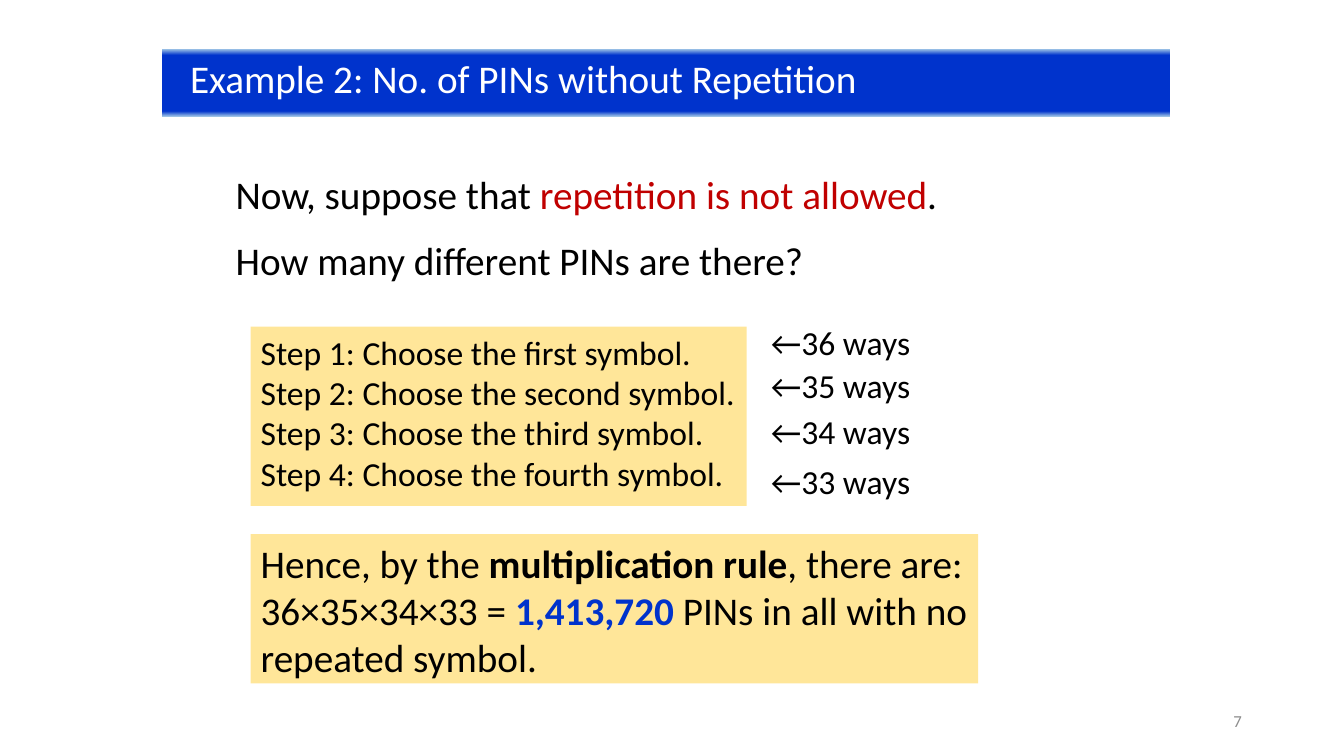
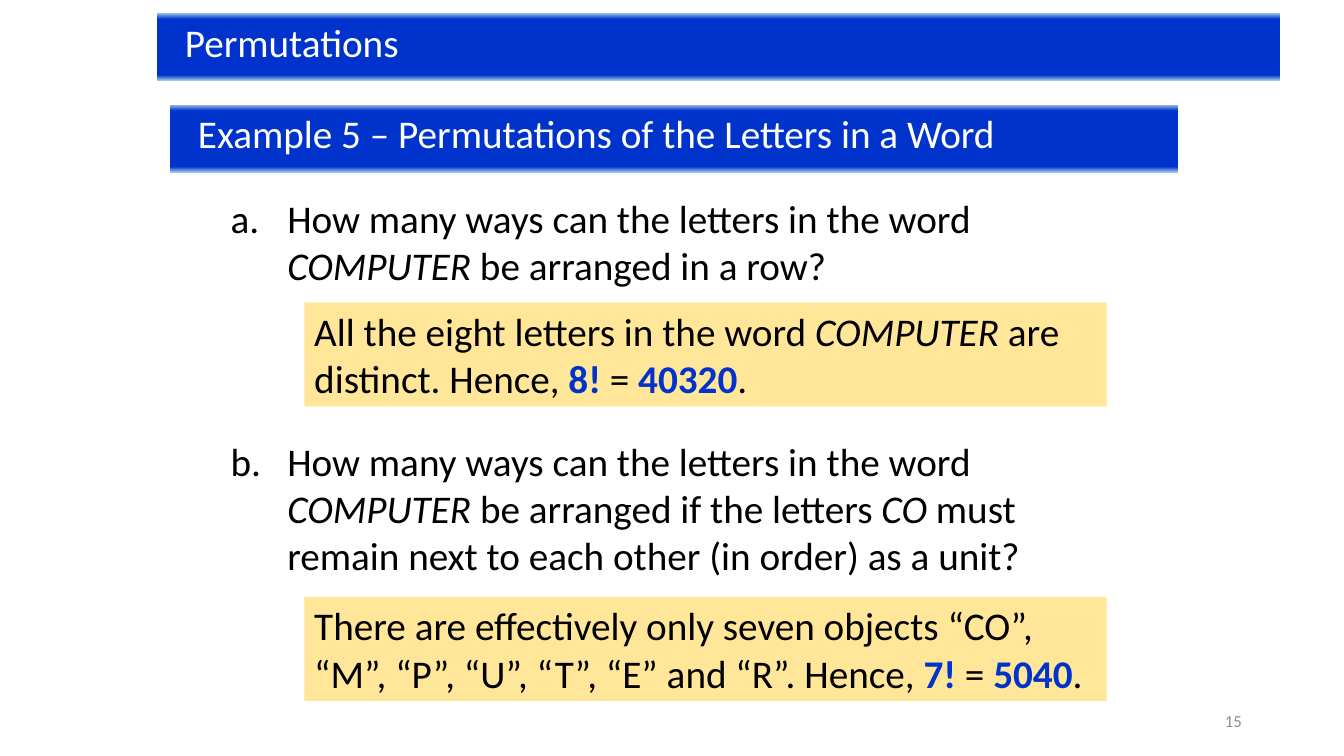
from lxml.etree import SubElement
from pptx import Presentation
from pptx.dml.color import RGBColor
from pptx.enum.shapes import MSO_SHAPE as SHAPE
from pptx.enum.text import MSO_ANCHOR as ANCHOR, PP_ALIGN as ALIGN
from pptx.oxml.ns import qn
from pptx.util import Cm, Pt

# Shared look
FONT = "Calibri"
BLACK = RGBColor(0x00, 0x00, 0x00)
WHITE = RGBColor(0xFF, 0xFF, 0xFF)
GREY = RGBColor(0x8C, 0x8C, 0x8C)
RED = RGBColor(0xC0, 0x00, 0x00)
BLUE = RGBColor(0x00, 0x33, 0xCC)
LIGHT_BLUE = RGBColor(0x9D, 0xC3, 0xE6)
YELLOW = RGBColor(0xFF, 0xE6, 0x99)
BAND_STOPS = [(0, LIGHT_BLUE), (9, BLUE), (92, BLUE), (100, LIGHT_BLUE)]

# Run styles
BOLD = {"bold": True}
ITALIC = {"italic": True}
WARNING = {"color": RED}
RESULT = {"color": BLUE, "bold": True}


def add_run(p, text, size, color=BLACK, bold=False, italic=False):
    r = p.add_run()
    r.text = text
    font = r.font
    font.name, font.size = FONT, Pt(size)
    font.bold, font.italic = bold, italic
    font.color.rgb = color


def write(sp, paragraphs, size=28, color=BLACK, align=ALIGN.LEFT, anchor=ANCHOR.TOP):
    """Fill a shape; a paragraph is a list of plain strings and (text, style) pairs."""
    tf = sp.text_frame
    tf.word_wrap = True
    tf.vertical_anchor = anchor
    for i, pieces in enumerate(paragraphs):
        p = tf.add_paragraph() if i else tf.paragraphs[0]
        p.alignment = align
        for piece in pieces:
            text, style = (piece, {}) if isinstance(piece, str) else piece
            add_run(p, text, size, **{"color": color, **style})
    return tf


def add_text(s, left, top, width, height, *paragraphs, **look):
    sp = s.shapes.add_textbox(Cm(left), Cm(top), Cm(width), Cm(height))
    return write(sp, paragraphs, **look)


def add_rectangle(s, left, top, width, height):
    sp = s.shapes.add_shape(SHAPE.RECTANGLE, Cm(left), Cm(top), Cm(width), Cm(height))
    sp.shadow.inherit = False
    sp.line.fill.background()
    return sp


def add_band(s, left, top, title, width=25.4):
    """Title band with a vertical gradient."""
    sp = add_rectangle(s, left, top, width, 1.7)
    sp.fill.gradient()
    sp.fill.gradient_angle = 270
    stops = sp.fill._fill._gradFill.find(qn("a:gsLst"))
    for old in list(stops):
        stops.remove(old)
    for percent, color in BAND_STOPS:
        stop = SubElement(stops, qn("a:gs"), pos=str(percent * 1000))
        SubElement(stop, qn("a:srgbClr"), val=str(color))
    write(sp, [[title]], color=WHITE).margin_left = Cm(0.7)


def add_answer(s, left, top, width, height, *paragraphs, **look):
    sp = add_rectangle(s, left, top, width, height)
    sp.fill.solid()
    sp.fill.fore_color.rgb = YELLOW
    write(sp, paragraphs, **look)


def add_question(s, top, height, number, pieces):
    """Lettered question with a hanging indent."""
    tf = add_text(s, 5.56, top, 22.86, height, pieces)
    p = tf.paragraphs[0]
    p.space_before = Pt(6)
    pPr = p._p.get_or_add_pPr()
    pPr.set("marL", str(Cm(1.43)))
    pPr.set("indent", str(-Cm(1.43)))
    SubElement(pPr, qn("a:buAutoNum"), type="alphaLcPeriod", startAt=str(number))


def add_slide(prs, page):
    s = prs.slides.add_slide(prs.slide_layouts[6])
    add_text(s, 23.93, 17.65, 7.62, 1.02, [page],
             size=12, color=GREY, align=ALIGN.RIGHT, anchor=ANCHOR.MIDDLE)
    return s


def build_pins(prs):
    s = add_slide(prs, "7")
    add_band(s, 4.09, 1.24, "Example 2: No. of PINs without Repetition")

    # Question
    add_text(s, 5.69, 4.17, 22.2, 1.45,
             ["Now, suppose that ", ("repetition is not allowed", WARNING), "."])
    add_text(s, 5.69, 5.82, 22.2, 1.45, ["How many different PINs are there?"])

    # Steps and the number of ways for each
    ordinals = ["first", "second", "third", "fourth"]
    steps = [[f"Step {i}: Choose the {word} symbol."]
             for i, word in enumerate(ordinals, 1)]
    add_answer(s, 6.32, 8.23, 12.5, 4.52, *steps, size=24)
    for i, top in enumerate([7.98, 9.07, 10.24, 11.48]):
        add_text(s, 19.18, top, 4.45, 1.27, [f"←{36 - i} ways"], size=24)

    # Conclusion
    add_answer(s, 6.32, 13.46, 18.33, 3.76,
               ["Hence, by the ", ("multiplication rule", BOLD), ", there are:"],
               ["36×35×34×33 = ", ("1,413,720", RESULT),
                " PINs in all with no repeated symbol."])


def build_permutations(prs):
    s = add_slide(prs, "15")
    add_band(s, 3.96, 0.33, "Permutations", width=28.3)
    add_band(s, 4.29, 2.64, "Example 5 – Permutations of the Letters in a Word")

    # Part a
    asking = "How many ways can the letters in the word "
    add_question(s, 4.78, 2.84, 1,
                 [asking, ("COMPUTER", ITALIC), " be arranged in a row?"])
    add_answer(s, 7.67, 7.62, 20.22, 2.62,
               ["All the eight letters in the word ", ("COMPUTER", ITALIC),
                " are distinct. Hence, ", ("8! ", RESULT), "= ",
                ("40320", RESULT), "."])

    # Part b
    add_question(s, 10.9, 4.11, 2,
                 [asking, ("COMPUTER ", ITALIC), "be arranged if the letters ",
                  ("CO ", ITALIC),
                  "must remain next to each other (in order) as a unit?"])
    add_answer(s, 7.67, 15.04, 20.22, 2.62,
               ["There are effectively only seven objects “CO”, “M”, “P”, “U”, "
                "“T”, “E” and “R”. Hence, ", ("7! ", RESULT), "= ",
                ("5040", RESULT), "."])


def main():
    prs = Presentation()
    prs.slide_width, prs.slide_height = Cm(33.87), Cm(19.05)
    build_pins(prs)
    build_permutations(prs)
    prs.save("out.pptx")


if __name__ == "__main__":
    main()
